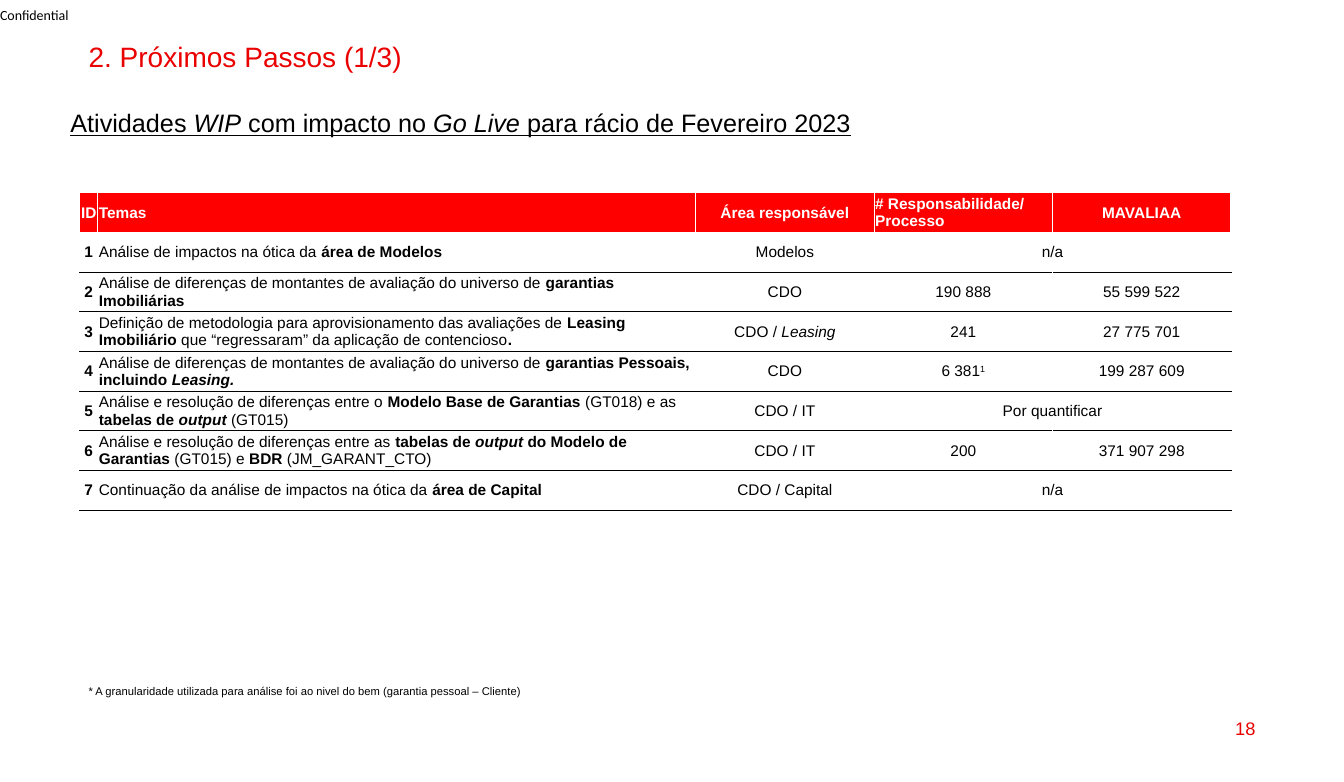
from dataclasses import dataclass

from lxml import etree
from pptx import Presentation, util as u
from pptx.dml import color
from pptx.enum import text
from pptx.oxml import ns


@dataclass(frozen=True)
class Theme:
    font: str = "Arial"
    label_font: str = "Calibri"
    black: str = "000000"
    white: str = "FFFFFF"
    accent: str = "EB0000"
    header: str = "FF0000"
    title: int = 20
    subtitle: int = 18
    number: int = 13
    table: int = 11
    label: int = 10
    note: int = 8


THEME = Theme()
LEFT, CENTER, RIGHT = text.PP_ALIGN.LEFT, text.PP_ALIGN.CENTER, text.PP_ALIGN.RIGHT
TOP, MIDDLE = text.MSO_ANCHOR.TOP, text.MSO_ANCHOR.MIDDLE

STYLES = {"b": "bold", "i": "italic", "u": "underline"}
COLUMNS = [0.18, 5.93, 1.77, 1.77, 1.77]
ALIGNMENTS = [CENTER, LEFT, CENTER, CENTER, CENTER]
HEADINGS = ["ID", "Temas", "Área responsável", "# Responsabilidade/ Processo", "MAVALIAA"]
HEADING_ALIGNMENTS = [CENTER, LEFT, CENTER, LEFT, CENTER]
ACTIVITIES = [
    ([("Análise de impactos na ótica da ", ""), ("área de Modelos", "b")], "Modelos", "n/a"),
    ([("Análise de diferenças de montantes de avaliação do universo de ", ""),
      ("garantias Imobiliárias", "b")], "CDO", "190 888", "55 599 522"),
    ([("Definição de metodologia para aprovisionamento das avaliações de ", ""),
      ("Leasing Imobiliário ", "b"), ("que “regressaram” da aplicação de contencioso", ""),
      (".", "b")], [("CDO / ", ""), ("Leasing", "i")], "241", "27 775 701"),
    ([("Análise de diferenças de montantes de avaliação do universo de ", ""),
      ("garantias Pessoais, incluindo ", "b"), ("Leasing.", "bi")],
     "CDO", [("6 381", ""), ("1", "^")], "199 287 609"),
    ([("Análise e resolução de diferenças entre o ", ""), ("Modelo Base de Garantias ", "b"),
      ("(GT018) e as ", ""), ("tabelas de ", "b"), ("output ", "bi"), ("(GT015)", "")],
     "CDO / IT", "Por quantificar"),
    ([("Análise e resolução de diferenças entre as ", ""), ("tabelas de ", "b"),
      ("output ", "bi"), ("do Modelo de Garantias ", "b"), ("(GT015) e ", ""), ("BDR", "b"),
      (" (JM_GARANT_CTO)", "")], "CDO / IT", "200", "371 907 298"),
    ([("Continuação da análise de impactos na ótica da ", ""), ("área de Capital", "b")],
     "CDO / Capital", "n/a"),
]


def apply(target, formats):
    for name, value in formats.items():
        setattr(target, name, value)


def write(para, spans, size, ink, font=THEME.font):
    for words, style in spans:
        span = para.add_run()
        span.text = words
        apply(span.font, {"name": font, "size": u.Pt(size)})
        apply(span.font, {name: code in style for code, name in STYLES.items()})
        span.font.color.rgb = color.RGBColor.from_string(ink)
        if "^" in style:
            span.font._element.set("baseline", "30000")


def add_text(page, place, spans, size, ink, font=THEME.font, anchor=MIDDLE,
             align=LEFT, spacing=1.0, wrap=True, inset=(0.1, 0.05)):
    box = page.shapes.add_textbox(*map(u.Inches, place))
    across, down = map(u.Inches, inset)
    apply(box.text_frame, {
        "word_wrap": wrap, "vertical_anchor": anchor, "margin_left": across,
        "margin_right": across, "margin_top": down, "margin_bottom": down})
    para = box.text_frame.paragraphs[0]
    apply(para, {"alignment": align, "line_spacing": spacing})
    write(para, spans, size, ink, font)


def add_border(cell, side, ink, points):
    properties = cell._tc.get_or_add_tcPr()
    line = etree.SubElement(properties, ns.qn(f"a:ln{side}"), w=str(u.Pt(points)))
    fill = etree.SubElement(line, ns.qn("a:solidFill"))
    etree.SubElement(fill, ns.qn("a:srgbClr"), val=ink)


def fill_cell(cell, spans, align, ink, fill, top, bottom):
    inset = u.Inches(0.01)
    apply(cell, {"margin_left": inset, "margin_right": inset, "margin_top": inset,
                 "margin_bottom": 0, "vertical_anchor": MIDDLE})
    white = (THEME.white, 1)
    for side, border in zip("LRTB", (white, white, top, bottom)):
        add_border(cell, side, *border)
    if fill:
        cell.fill.solid()
        cell.fill.fore_color.rgb = color.RGBColor.from_string(fill)
    else:
        cell.fill.background()
    para = cell.text_frame.paragraphs[0]
    para.alignment = align
    write(para, spans, THEME.table, ink)


def add_activities(page, place):
    rows = len(ACTIVITIES) + 1
    table = page.shapes.add_table(rows, len(COLUMNS), *map(u.Inches, place)).table
    apply(table, {"first_row": False, "horz_banding": False})
    for column, width in zip(table.columns, COLUMNS):
        column.width = u.Inches(width)
    for row in table.rows:
        row.height = u.Inches(place[3] / rows)
    white, black = (THEME.white, 1), (THEME.black, 0.5)
    for column, (heading, align) in enumerate(zip(HEADINGS, HEADING_ALIGNMENTS)):
        fill_cell(table.cell(0, column), [(heading, "b")], align,
                  THEME.white, THEME.header, white, white)
    for row, activity in enumerate(ACTIVITIES, 1):
        values = [[(str(row), "b")], *activity]
        if len(values) < len(COLUMNS):
            table.cell(row, 3).merge(table.cell(row, 4))
            values.append([])
        for column, (value, align) in enumerate(zip(values, ALIGNMENTS)):
            spans = [(value, "")] if isinstance(value, str) else value
            fill_cell(table.cell(row, column), spans, align, THEME.black, None,
                      white if row == 1 else black, black)


def add_heading(page, place):
    left, top, width, height = place
    add_text(page, (left + 0.78, top + 0.38, width, 0.34), [("2. Próximos Passos (1/3)", "")],
             THEME.title, THEME.accent, anchor=TOP, spacing=0.9)
    add_text(page, (left + 0.6, top + 0.87, width, 0.5),
             [("Atividades ", "u"), ("WIP", "ui"), (" com impacto no ", "u"),
              ("Go Live", "ui"), (" para rácio de Fevereiro 2023", "u")],
             THEME.subtitle, THEME.black, anchor=TOP, spacing=1.5)
    add_text(page, (left, top, 0.99, height), [("Confidential", "")], THEME.label,
             THEME.black, THEME.label_font, inset=(0, 0))


def add_footer(page, place):
    left, top, width, height = place
    note = "* A granularidade utilizada para análise foi ao nivel do bem (garantia pessoal – Cliente)"
    add_text(page, (left, top, 4.56, 0.24), [(note, "")], THEME.note, THEME.black, wrap=False)
    add_text(page, (left + width - 3, top + height - 0.41, 3, 0.41), [("18", "")],
             THEME.number, THEME.accent, align=RIGHT)


def main():
    deck = Presentation()
    apply(deck, {"slide_width": u.Inches(13.33), "slide_height": u.Inches(7.76)})
    page = deck.slides.add_slide(deck.slide_layouts[6])
    add_heading(page, (0, 0, 11.77, 0.29))
    add_activities(page, (0.79, 1.91, sum(COLUMNS), 3.15))
    add_footer(page, (0.78, 6.74, 11.77, 0.69))
    deck.save("out.pptx")


if __name__ == "__main__":
    main()
